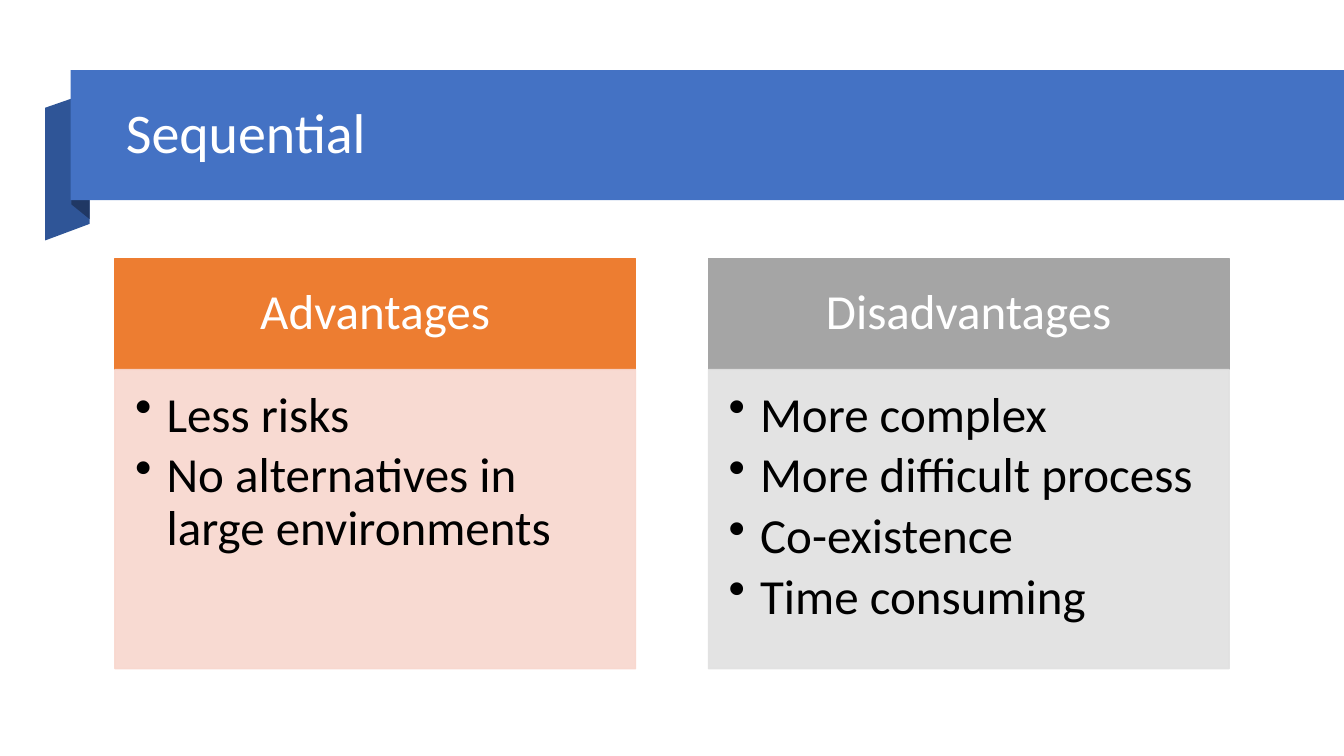
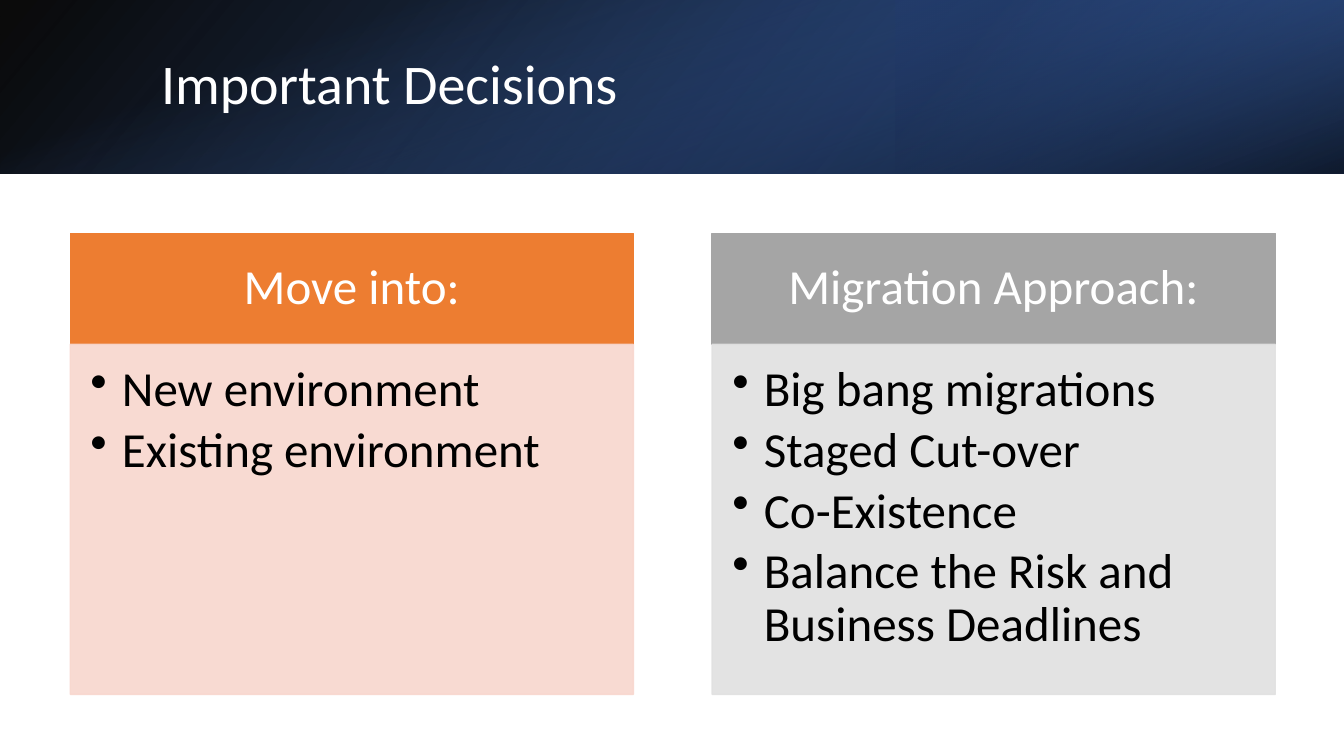
from pptx import Presentation, util as u
from pptx.dml.color import RGBColor
from pptx.enum import shapes, text
from pptx.oxml.ns import qn
from lxml import etree

Pt = u.Pt
WIDE, TALL = 960, 540
INK = {
    "white": "FFFFFF", "black": "000000", "blue": "4472C4", "deep": "2F5597",
    "navy": "203864", "orange": "ED7D31", "peach": "F8D7CE",
    "gray": "A5A5A5", "pale": "E1E1E1",
}
TONES = [("orange", "peach"), ("gray", "pale")]


def rgb(name):
    return RGBColor.from_string(INK[name])


def fade(shape, *rates):
    """Set the opacity, in percent, of the shape's colours in turn."""
    for tint, rate in zip(shape.element.spPr.iter(qn("a:srgbClr")), rates):
        etree.SubElement(tint, qn("a:alpha")).set("val", str(rate * 1000))


class Deck:
    font = "Calibri"
    head = 40
    size = 35

    def __init__(self):
        self.prs = Presentation()
        self.prs.slide_width, self.prs.slide_height = Pt(WIDE), Pt(TALL)
        self.slide = None

    def page(self):
        self.slide = self.prs.slides.add_slide(self.prs.slide_layouts[6])

    def paint(self, shape, fill, line=None):
        shape.shadow.inherit = False
        shape.fill.solid()
        shape.fill.fore_color.rgb = rgb(fill)
        if line:
            shape.line.color.rgb = rgb(line)
            shape.line.width = Pt(1)
        else:
            shape.line.fill.background()
        return shape

    def box(self, x, y, w, h, fill, line=None):
        shape = self.slide.shapes.add_shape(
            shapes.MSO_SHAPE.RECTANGLE, Pt(x), Pt(y), Pt(w), Pt(h))
        return self.paint(shape, fill, line)

    def fold(self, fill, *spots):
        first, *rest = [(Pt(x), Pt(y)) for x, y in spots]
        edge = self.slide.shapes.build_freeform(*first)
        edge.add_line_segments(rest, close=True)
        self.paint(edge.convert_to_shape(), fill)

    def blend(self, x, y, w, h, angle, stops, turn=0, flip=False):
        """Draw a gradient box; stops are (percent, colour, opacity)."""
        shape = self.box(x, y, w, h, "white")
        shape.fill.gradient()
        shape.fill.gradient_angle = 360 - angle
        for stop, (place, name, _) in zip(shape.fill.gradient_stops, stops):
            stop.position = place / 100
            stop.color.rgb = rgb(name)
        fade(shape, *[rate for _, _, rate in stops])
        shape.rotation = turn
        if flip:
            shape.element.spPr.xfrm.set("flipH", "1")

    def label(self, shape, lines, size, tint, inset, after=0,
              align=text.PP_ALIGN.LEFT, anchor=text.MSO_ANCHOR.MIDDLE,
              dots=False):
        frame = shape.text_frame
        frame.word_wrap = True
        frame.vertical_anchor = anchor
        (frame.margin_left, frame.margin_top,
         frame.margin_right, frame.margin_bottom) = map(Pt, inset)
        frame.text = "\n".join(lines)
        for para in frame.paragraphs:
            para.alignment = align
            para.line_spacing = 0.9
            para.space_after = Pt(after)
            if dots:
                props = para._p.get_or_add_pPr()
                props.set("marL", str(Pt(22.5)))
                props.set("indent", str(-Pt(22.5)))
                etree.SubElement(props, qn("a:buChar")).set("char", "•")
            para.font.name = self.font
            para.font.size = Pt(size)
            para.font.color.rgb = rgb(tint)

    def title(self, x, y, w, words):
        shape = self.slide.shapes.add_textbox(Pt(x), Pt(y), Pt(w), Pt(69))
        self.label(shape, [words], self.head, "white", (7.2, 3.6, 7.2, 3.6))

    def panels(self, x, y, w, h, lists):
        """Set headed lists side by side, with gaps of 14% of their width."""
        top = 79.2
        for i, ((name, lines), (dark, light)) in enumerate(zip(lists, TONES)):
            left = x + i * w * 1.14
            cap = self.box(left, y, w, top, dark, dark)
            self.label(cap, [name], self.size, "white",
                       (19.2, 11.2, 19.2, 11.2), align=text.PP_ALIGN.CENTER)
            body = self.box(left, y + top, w, h, light, light)
            fade(body, 90, 90)
            self.label(body, lines, self.size, "black",
                       (14.4, 14.4, 19.2, 21.6), after=5.5,
                       anchor=text.MSO_ANCHOR.TOP, dots=True)


def main():
    deck = Deck()

    deck.page()
    deck.fold("deep", (64, 160), (32.3, 171.8), (32.3, 77), (64, 66))
    deck.fold("navy", (64, 156.5), (51, 146), (51, 50.4), (64, 61))
    deck.box(50.4, 50.2, WIDE - 50.4, 92.8, "blue")
    deck.title(82.8, 62, 811, "Sequential")
    deck.panels(82.1, 184.8, 371.9, 213.6, [
        ("Advantages",
         ["Less risks", "No alternatives in large environments"]),
        ("Disadvantages",
         ["More complex", "More difficult process", "Co-existence",
          "Time consuming"]),
    ])

    deck.page()
    band = 124
    deck.blend(0, 0, WIDE, band, 140,
               [(0, "black", 96), (100, "deep", 100)], flip=True)
    deck.blend(WIDE * 2 / 3, 0, WIDE / 3, band, 320,
               [(19, "navy", 68), (100, "blue", 79)], turn=180, flip=True)
    side = (WIDE - band) / 2
    deck.blend(side, -side, band, WIDE, 340,
               [(23, "blue", 0), (99, "black", 74)], turn=90)
    deck.title(108, 27.2, 790, "Important Decisions")
    deck.panels(50.2, 166.8, 402.2, 250, [
        ("Move into:", ["New environment", "Existing environment"]),
        ("Migration Approach:",
         ["Big bang migrations", "Staged Cut-over", "Co-Existence",
          "Balance the Risk and Business Deadlines"]),
    ])

    deck.prs.save("out.pptx")


if __name__ == "__main__":
    main()
